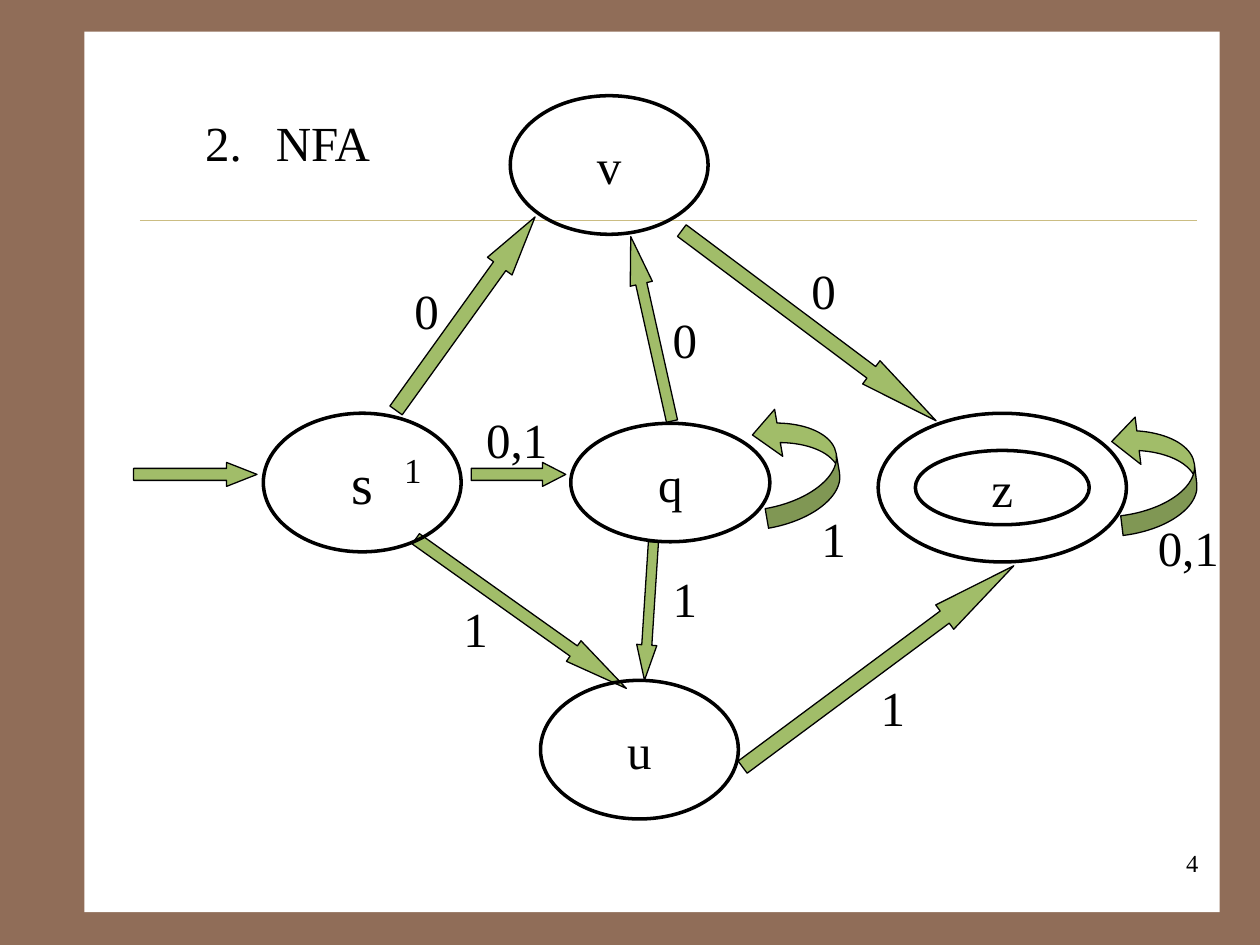
from pptx import Presentation
from pptx.dml.color import RGBColor
from pptx.enum.shapes import MSO_CONNECTOR, MSO_SHAPE as Shape
from pptx.enum.text import MSO_ANCHOR, PP_ALIGN as Align
from pptx.oxml import parse_xml
from pptx.oxml.ns import nsdecls
from pptx.util import Inches, Pt

BROWN = RGBColor(0x90, 0x6D, 0x58)
WHITE = RGBColor(0xFF, 0xFF, 0xFF)
BLACK = RGBColor(0x00, 0x00, 0x00)
GREEN = RGBColor(0xA1, 0xBD, 0x69)
SAND = RGBColor(0xCB, 0xBD, 0x83)

prs = Presentation()
prs.slide_width, prs.slide_height = Inches(10), Inches(7.5)
slide = prs.slides.add_slide(prs.slide_layouts[6])
slide.background.fill.solid()
slide.background.fill.fore_color.rgb = BROWN


def add_outline(kind, box, fill=None, line_width=None):
    shape = slide.shapes.add_shape(kind, *[Inches(v) for v in box])
    shape.shadow.inherit = False
    if fill is None:
        shape.fill.background()
    else:
        shape.fill.solid()
        shape.fill.fore_color.rgb = fill
    if line_width is None:
        shape.line.fill.background()
    else:
        shape.line.color.rgb = BLACK
        shape.line.width = Pt(line_width)
    return shape


def write(shape, text, size, align):
    shape.text_frame.text = text
    paragraph = shape.text_frame.paragraphs[0]
    paragraph.alignment = align
    font = paragraph.runs[0].font
    font.name = "Times New Roman"
    font.size = Pt(size)
    font.color.rgb = BLACK


# White page and thin rule
add_outline(Shape.RECTANGLE, (0.67, 0.25, 9.01, 6.99), WHITE)
rule = slide.shapes.add_connector(
    MSO_CONNECTOR.STRAIGHT, Inches(1.11), Inches(1.75), Inches(9.5), Inches(1.75))
rule.line.color.rgb = SAND
rule.line.width = Pt(0.25)
rule._element.spPr.append(parse_xml(f"<a:effectLst {nsdecls('a')}/>"))

# Transitions: box, rotation, head length relative to thickness
transitions = [
    ((1.06, 3.67, 0.98, 0.19), 0, 1.27),      # start to s
    ((2.75, 2.37, 1.89, 0.24), 305.7, 2.0),   # s to v
    ((3.74, 3.67, 0.75, 0.19), 0, 0.97),      # s to q
    ((3.11, 4.77, 2.05, 0.2), 35.4, 2.56),    # s to u
    ((4.42, 2.52, 1.5, 0.18), 257.4, 2.13),   # q to v
    ((4.6, 4.77, 1.1, 0.16), 93.7, 1.75),     # q to u
    ((5.16, 2.47, 2.52, 0.23), 36.8, 2.79),   # v to z
    ((5.63, 5.17, 2.68, 0.24), 323.4, 2.84),  # u to z
]
for box, angle, head in transitions:
    arrow = add_outline(Shape.RIGHT_ARROW, box, GREEN, 0.75)
    arrow.rotation = angle
    arrow.adjustments[0] = 0.5
    arrow.adjustments[1] = head

# Self loops on q and z
for left, top, angle in [(5.86, 3.36, 260.2), (8.7, 3.43, 263.1)]:
    loop = add_outline(Shape.CURVED_UP_ARROW, (left, top, 0.94, 0.63), GREEN, 0.75)
    loop.rotation = angle
    for i, value in enumerate((0.25, 0.6, 0.33)):
        loop.adjustments[i] = value

# States; the accepting state z has a double outline
states = [
    ("s", Shape.OVAL, (2.09, 3.28, 1.57, 1.1), 32),
    ("q", Shape.OVAL, (4.53, 3.36, 1.58, 0.94), 28),
    ("u", Shape.OVAL, (4.29, 5.4, 1.57, 1.1), 28),
    ("v", Shape.OVAL, (4.05, 0.76, 1.57, 1.1), 28),
    ("z", Shape.DONUT, (6.97, 3.28, 1.97, 1.18), 28),
]
for name, kind, box, size in states:
    state = add_outline(kind, box, line_width=2)
    if kind == Shape.DONUT:
        state.adjustments[0] = 0.25
    state.text_frame.word_wrap = False
    state.text_frame.vertical_anchor = MSO_ANCHOR.MIDDLE
    write(state, name, size, Align.CENTER)

# Heading, transition labels and page number
labels = [
    ("2.", 1.53, 0.84, 0.5, 28, Align.LEFT),
    ("NFA", 2.09, 0.84, 1.18, 28, Align.LEFT),
    ("1", 3.11, 3.51, 0.31, 20, Align.LEFT),
    ("0", 3.19, 2.18, 0.39, 28, Align.LEFT),
    ("0", 6.34, 2.02, 0.39, 28, Align.LEFT),
    ("0", 5.24, 2.41, 0.39, 28, Align.LEFT),
    ("1", 5.24, 4.46, 0.39, 28, Align.LEFT),
    ("1", 3.58, 4.7, 0.39, 28, Align.LEFT),
    ("1", 6.89, 5.33, 0.39, 28, Align.LEFT),
    ("1", 6.42, 3.99, 0.39, 28, Align.LEFT),
    ("0,1", 3.76, 3.2, 0.85, 28, Align.LEFT),
    ("0,1", 9.09, 4.06, 0.85, 28, Align.LEFT),
    ("4", 7.53, 6.68, 2.08, 14, Align.RIGHT),
]
for text, left, top, width, size, align in labels:
    label = slide.shapes.add_textbox(
        Inches(left), Inches(top), Inches(width), Inches(0.57 if size == 28 else 0.44))
    label.text_frame.word_wrap = True
    write(label, text, size, align)

prs.save("out.pptx")
